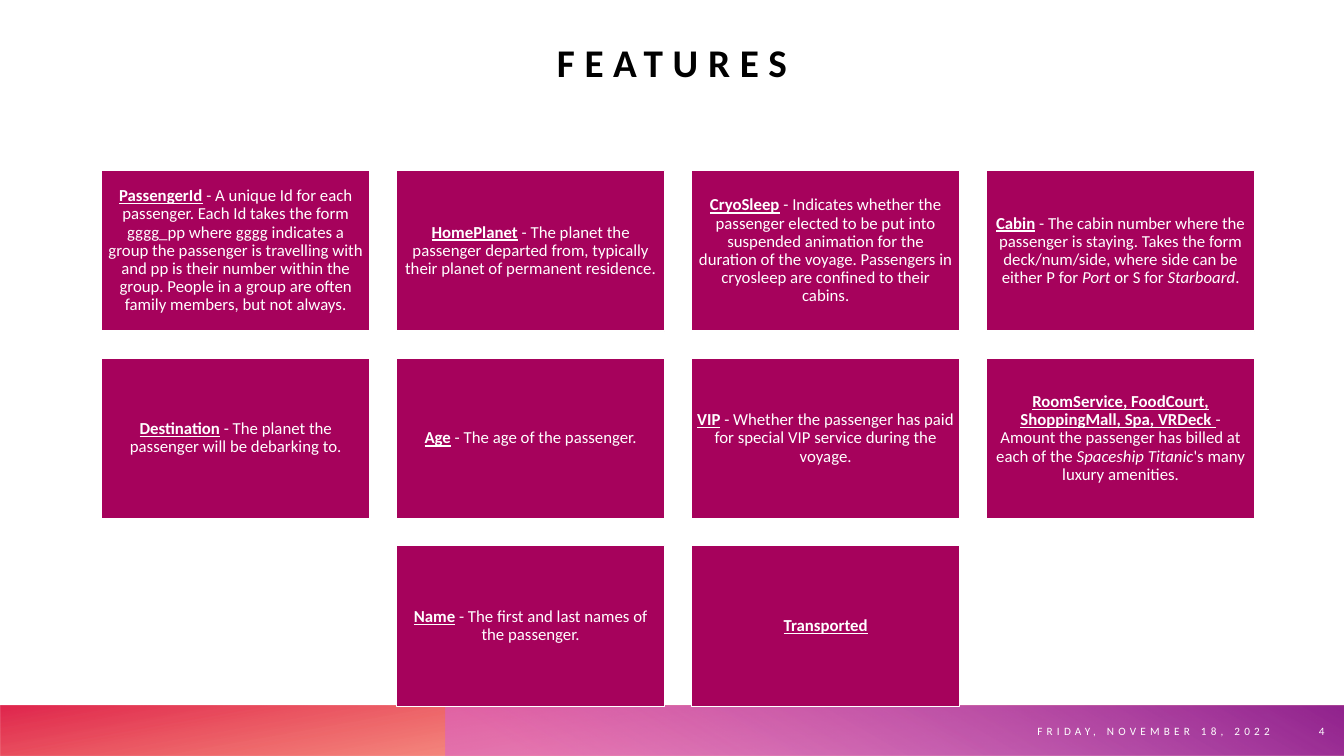
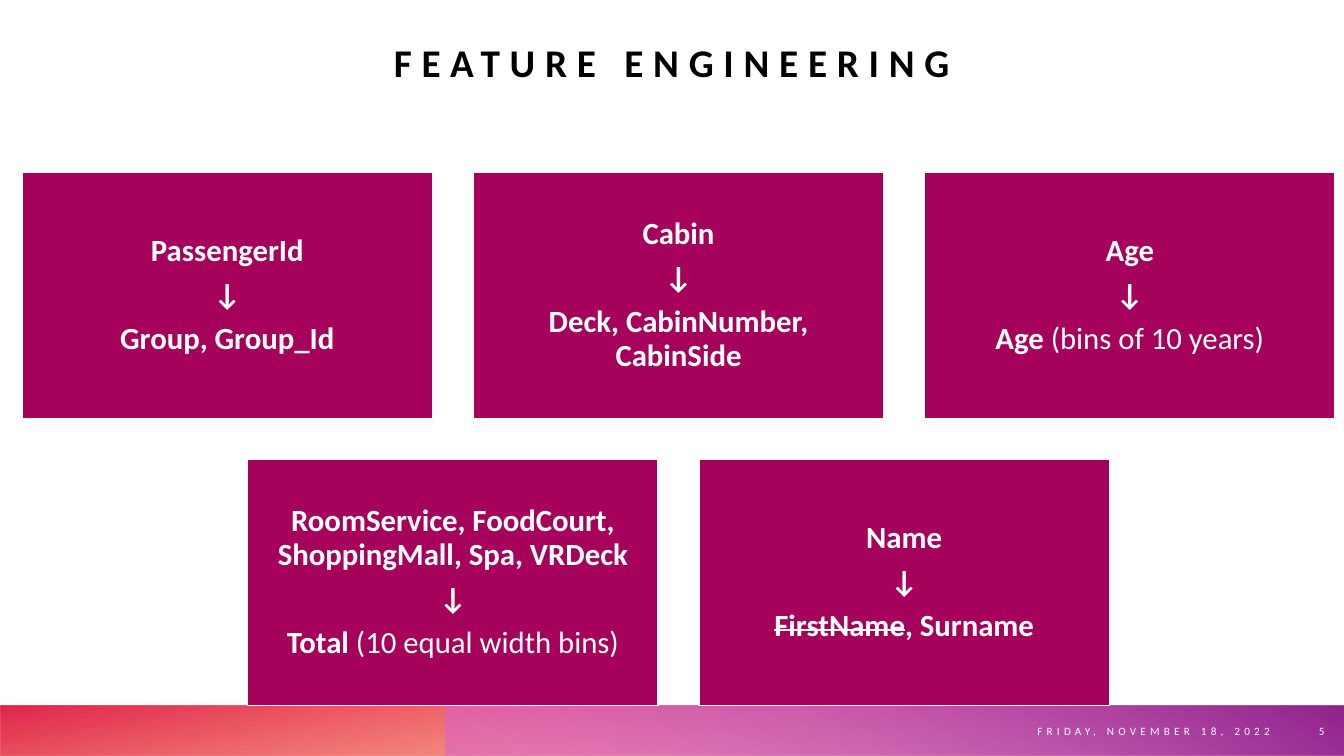
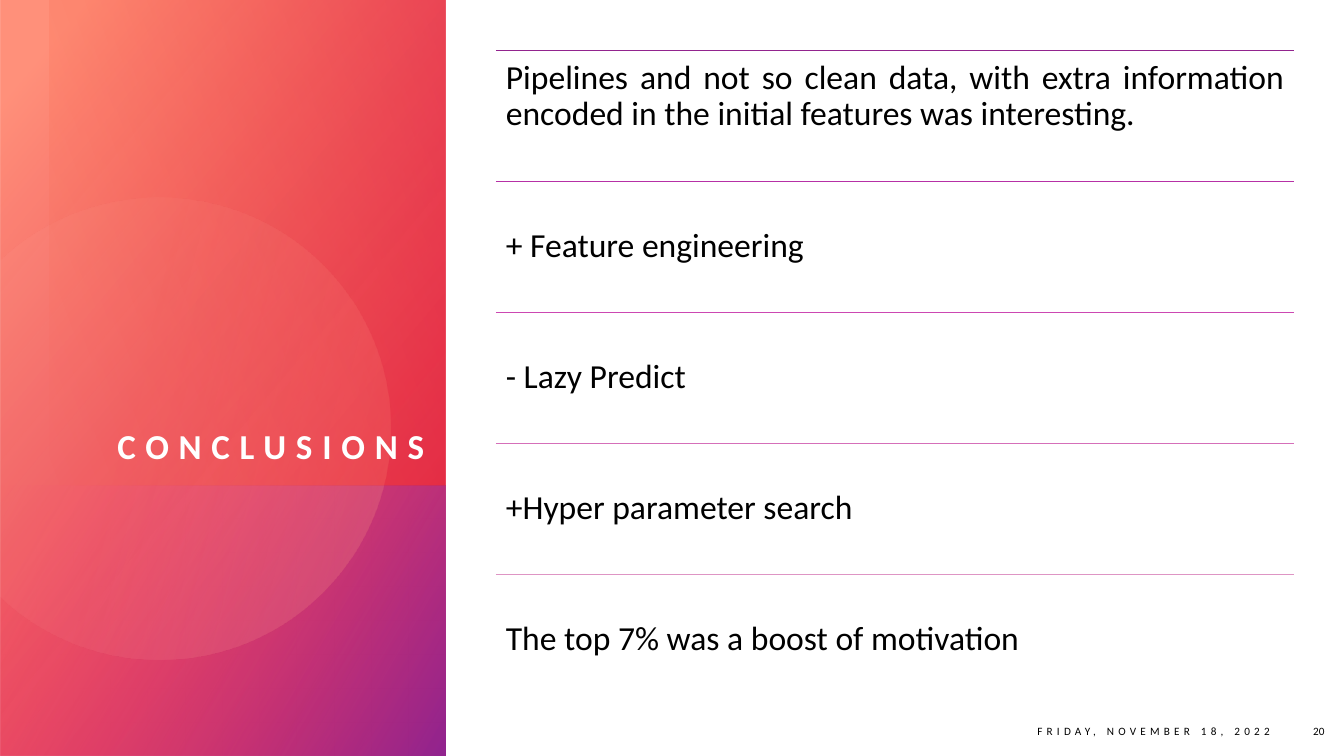
from itertools import pairwise
from math import acos, cos, sin, tan, pi

from lxml.etree import SubElement
from pptx import Presentation
from pptx.dml.color import RGBColor
from pptx.enum.shapes import MSO_CONNECTOR as Connector, MSO_SHAPE as Preset
from pptx.enum.text import MSO_ANCHOR as Anchor, PP_ALIGN as Align
from pptx.oxml.ns import qn
from pptx.util import Inches, Pt

WHITE = RGBColor(0xFF, 0xFF, 0xFF)
BLACK = RGBColor(0x00, 0x00, 0x00)
BERRY = RGBColor(0xA6, 0x02, 0x5C)
ORANGE = RGBColor(0xFE, 0x4A, 0x00)
RED = RGBColor(0xDA, 0x00, 0x2F)
ROSE = RGBColor(0xFF, 0x50, 0x76)
SALMON = RGBColor(0xFF, 0x90, 0x7A)
PEACH = RGBColor(0xFF, 0xBC, 0xAF)
ORCHID = RGBColor(0xD8, 0x61, 0xD4)
PURPLE = RGBColor(0x92, 0x24, 0x8E)
RULES = [PURPLE, RGBColor(0xB6, 0x30, 0xA6), RGBColor(0xCC, 0x48, 0xB2),
         RGBColor(0xD5, 0x6F, 0xB9), RGBColor(0xDE, 0x95, 0xC4)]

FONT = "Calibri"
DATE = "FRIDAY, NOVEMBER 18, 2022"
SLIDE_WIDTH, SLIDE_HEIGHT = 40 / 3, 7.5

PLAIN = {}
BOLD = {"bold": True}
ITALIC = {"italic": True}
TERM = {"bold": True, "underline": True}

FEATURES = [
    [("PassengerId", TERM),
     (" - A unique Id for each passenger. Each Id takes the form gggg_pp where gggg indicates "
      "a group the passenger is travelling with and pp is their number within the group. "
      "People in a group are often family members, but not always.", PLAIN)],
    [("HomePlanet", TERM),
     (" - The planet the passenger departed from, typically their planet of permanent "
      "residence.", PLAIN)],
    [("CryoSleep", TERM),
     (" - Indicates whether the passenger elected to be put into suspended animation for the "
      "duration of the voyage. Passengers in cryosleep are confined to their cabins.", PLAIN)],
    [("Cabin", TERM),
     (" - The cabin number where the passenger is staying. Takes the form deck/num/side, "
      "where side can be either P for ", PLAIN),
     ("Port", ITALIC), (" or S for ", PLAIN), ("Starboard", ITALIC), (".", PLAIN)],
    [("Destination", TERM), (" - The planet the passenger will be debarking to.", PLAIN)],
    [("Age", TERM), (" - The age of the passenger.", PLAIN)],
    [("VIP", TERM),
     (" - Whether the passenger has paid for special VIP service during the voyage.", PLAIN)],
    [("RoomService, FoodCourt, ShoppingMall, Spa, VRDeck ", TERM),
     ("- Amount the passenger has billed at each of the ", PLAIN),
     ("Spaceship Titanic", ITALIC), ("'s many luxury amenities.", PLAIN)],
    [("Name", TERM), (" - The first and last names of the passenger.", PLAIN)],
    [("Transported", TERM)],
]

ENGINEERING = [
    ("PassengerId", [("Group, Group_Id", BOLD)]),
    ("Cabin", [("Deck, CabinNumber, CabinSide", BOLD)]),
    ("Age", [("Age", BOLD), (" (bins of 10 years)", PLAIN)]),
    ("RoomService, FoodCourt, ShoppingMall, Spa, VRDeck",
     [("Total ", BOLD), ("(10 equal width bins)", PLAIN)]),
    ("Name", [("FirstName", {"bold": True, "strike": "sngStrike"}), (", Surname", BOLD)]),
]

CONCLUSIONS = [
    "Pipelines and not so clean data, with extra information encoded in the initial features "
    "was interesting.",
    "+ Feature engineering",
    "- Lazy Predict",
    "+Hyper parameter search",
    "The top 7% was a boost of motivation",
]

BANDS = [
    {"box": (0, 7, SLIDE_WIDTH, 0.5), "turn": 180, "angle": 100,
     "stops": [(14, ORANGE, 28), (100, RED, 85)]},
    {"box": (4.42, 7, 8.92, 0.5), "turn": 0, "angle": 240,
     "stops": [(9, ORCHID, 55), (99, PURPLE, 100)]},
]
PANEL = [
    {"box": (-1.54, 1.54, 7.5, 4.42), "turn": 270, "angle": 50,
     "stops": [(8, SALMON, 100), (100, RED, 89)]},
    {"box": (0.86, 3.95, 2.69, 4.42), "turn": 270, "angle": 60,
     "stops": [(0, ROSE, 0), (99, PURPLE, 100)]},
]
PANEL_GLOW = {"box": (0.05, 0.45, 4.81, 3.92), "turn": 90, "angle": 110,
              "stops": [(0, RED, 29), (100, ORANGE, 0)]}
DISC = {"center": (1.58, 4.25), "radius": 2.29, "angle": 14,
        "stops": [(36, PEACH, 6), (100, SALMON, 26)]}


def inches(values):
    return [Inches(value) for value in values]


def fill_gradient(shape, stops, angle):
    shape.shadow.inherit = False
    shape.line.fill.background()
    shape.fill.background()
    properties = shape._element.spPr
    no_fill = properties.find(qn("a:noFill"))
    gradient = SubElement(properties, qn("a:gradFill"), rotWithShape="1")
    properties.replace(no_fill, gradient)
    stop_list = SubElement(gradient, qn("a:gsLst"))
    for position, color, opacity in stops:
        stop = SubElement(stop_list, qn("a:gs"), pos=str(position * 1000))
        tint = SubElement(stop, qn("a:srgbClr"), val=str(color))
        if opacity < 100:
            SubElement(tint, qn("a:alpha"), val=str(opacity * 1000))
    SubElement(gradient, qn("a:lin"), ang=str(angle * 60000), scaled="0")


def add_gradient_band(slide, box, turn, angle, stops):
    band = slide.shapes.add_shape(Preset.RECTANGLE, *inches(box))
    band.rotation = turn
    band._element.spPr.find(qn("a:xfrm")).set("flipH", "1")
    fill_gradient(band, stops, angle)
    return band


def add_disc(slide, center, radius, angle, stops):
    center_x, center_y = center
    edge = acos(-center_x / radius)
    turns = [-edge, -pi / 2, 0, pi / 2, edge]

    def on_disc(turn, lean=0):
        return (center_x + radius * (cos(turn) - lean * sin(turn)),
                center_y + radius * (sin(turn) + lean * cos(turn)))

    knots = [inches(on_disc(turn)) for turn in turns]
    builder = slide.shapes.build_freeform(*knots[0])
    builder.add_line_segments(knots[1:], close=True)
    disc = builder.convert_to_shape()
    sides = list(disc._element.iter(qn("a:lnTo")))
    for side, (start, end) in zip(sides, pairwise(turns)):
        lean = 4 / 3 * tan((end - start) / 4)
        curve = SubElement(side.getparent(), qn("a:cubicBezTo"))
        side.getparent().replace(side, curve)
        for x, y in (on_disc(start, lean), on_disc(end, -lean), on_disc(end)):
            SubElement(curve, qn("a:pt"), x=str(Inches(x) - disc.left),
                       y=str(Inches(y) - disc.top))
    fill_gradient(disc, stops, angle)


def write(shape, paragraphs, size, color=WHITE, align=Align.CENTER, anchor=Anchor.MIDDLE,
          insets=(0.1, 0.05), spacing=0, spaced=False):
    frame = shape.text_frame
    across, down = inches(insets)
    settings = {"word_wrap": True, "vertical_anchor": anchor, "margin_left": across,
                "margin_right": across, "margin_top": down, "margin_bottom": down}
    for key, value in settings.items():
        setattr(frame, key, value)
    for number, runs in enumerate(paragraphs):
        paragraph = frame.add_paragraph() if number else frame.paragraphs[0]
        paragraph.alignment = align
        if spaced:
            paragraph.line_spacing = 0.9
            paragraph.space_after = Pt(0.35 * size)
        for text, style in runs:
            run = paragraph.add_run()
            run.text = text
            look = {"name": FONT, "size": Pt(size), **style}
            strike = look.pop("strike", None)
            for key, value in look.items():
                setattr(run.font, key, value)
            run.font.color.rgb = color
            if strike:
                run._r.get_or_add_rPr().set("strike", strike)
            if spacing:
                run._r.get_or_add_rPr().set("spc", str(spacing * 100))


def add_text(slide, box, paragraphs, size, **options):
    write(slide.shapes.add_textbox(*inches(box)), paragraphs, size, **options)


def add_title(slide, title, box=(0, 0.14, SLIDE_WIDTH, 0.71), size=28, color=BLACK,
              align=Align.CENTER):
    add_text(slide, box, [[(title, BOLD)]], size, color=color, align=align,
             anchor=Anchor.BOTTOM, insets=(0, 0), spacing=7)


def add_footer(slide, number, color):
    add_text(slide, (8.65, 7.01, 4.05, 0.49), [[(DATE, PLAIN)]], 8, color=color,
             align=Align.RIGHT, spacing=3)
    add_text(slide, (12.76, 7.01, 0.48, 0.49), [[(str(number), PLAIN)]], 8, color=color,
             align=Align.RIGHT)


def add_block(slide, box, color):
    block = slide.shapes.add_shape(Preset.RECTANGLE, *inches(box))
    block.shadow.inherit = False
    block.fill.solid()
    block.fill.fore_color.rgb = color
    block.line.fill.background()
    return block


def add_cards(slide, cards, columns, left, top, width, size, inset):
    gap, height = width * 0.1, width * 0.6
    for index, paragraphs in enumerate(cards):
        row, column = divmod(index, columns)
        in_row = min(columns, len(cards) - row * columns)
        column += (columns - in_row) / 2
        card = add_block(slide, (left + column * (width + gap), top + row * (height + gap),
                                 width, height), BERRY)
        card.line.color.rgb = WHITE
        card.line.width = Pt(1)
        write(card, paragraphs, size, insets=(inset, inset), spaced=True)


def add_card_slide(deck, title, number, cards, **grid):
    slide = deck.slides.add_slide(deck.slide_layouts[6])
    add_cards(slide, cards, **grid)
    add_title(slide, title)
    add_footer(slide, number, WHITE)
    return slide


def move_bands_to_layout(slide):
    for band in BANDS:
        shared = add_gradient_band(slide, **band)
        slide.slide_layout.shapes._spTree.append(shared._element)


def add_conclusions_slide(deck):
    slide = deck.slides.add_slide(deck.slide_layouts[6])
    add_block(slide, (0, 0, SLIDE_WIDTH, SLIDE_HEIGHT), WHITE)
    for part in PANEL:
        add_gradient_band(slide, **part)
    add_disc(slide, **DISC)
    add_gradient_band(slide, **PANEL_GLOW)
    add_title(slide, "CONCLUSIONS", (0.5, 0.95, 3.71, 3.68), 25, WHITE, Align.RIGHT)
    add_footer(slide, 20, BLACK)
    left, top, width, height = 4.92, 0.5, 7.92, 1.3
    for index, (conclusion, color) in enumerate(zip(CONCLUSIONS, RULES)):
        y = top + index * height
        rule = slide.shapes.add_connector(Connector.STRAIGHT,
                                          *inches((left, y, left + width, y)))
        rule.line.color.rgb = color
        rule.line.width = Pt(1)
        SubElement(rule._element.spPr, qn("a:effectLst"))
        add_text(slide, (left, y, width, height), [[(conclusion, PLAIN)]], 24, color=BLACK,
                 align=Align.LEFT if index else Align.JUSTIFY,
                 anchor=Anchor.MIDDLE if index else Anchor.TOP,
                 insets=(0.1, 0.1), spaced=True)


def main():
    deck = Presentation()
    deck.slide_width, deck.slide_height = Inches(SLIDE_WIDTH), Inches(SLIDE_HEIGHT)
    features = add_card_slide(deck, "FEATURES", 4, [[runs] for runs in FEATURES], columns=4,
                              left=1.01, top=1.69, width=2.66, size=12, inset=0.05)
    move_bands_to_layout(features)
    add_card_slide(deck, "FEATURE ENGINEERING", 5,
                   [[[(old, BOLD)], [("↓", BOLD)], new] for old, new in ENGINEERING],
                   columns=3, left=0.22, top=1.71, width=4.07, size=22, inset=0.09)
    add_conclusions_slide(deck)
    deck.save("out.pptx")


if __name__ == "__main__":
    main()
